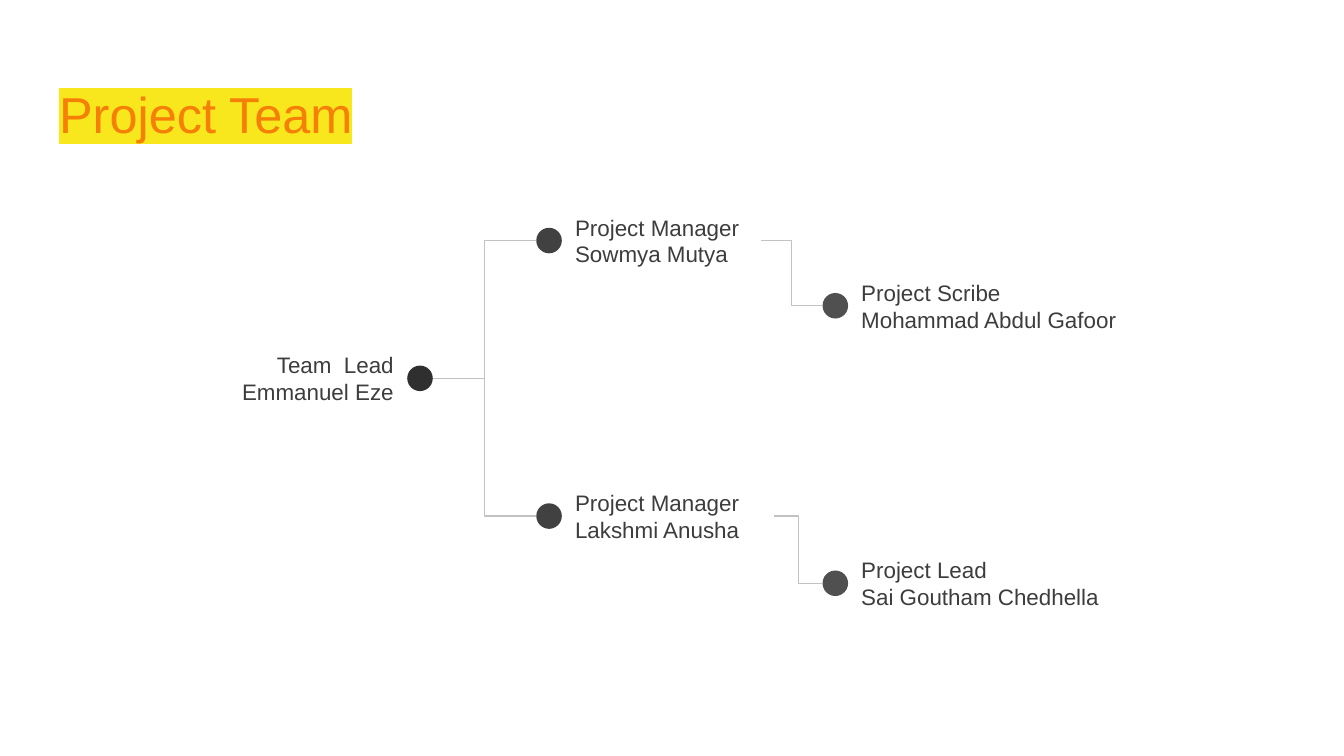
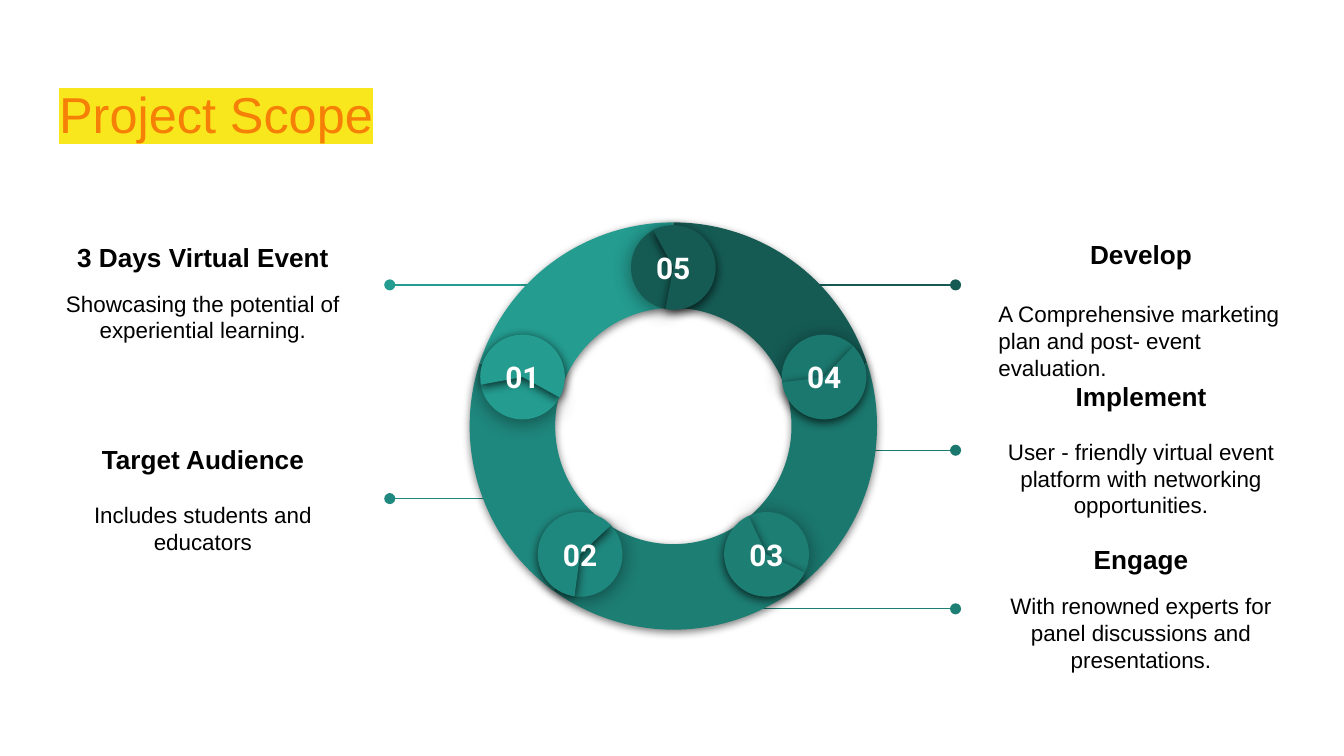
import math
from lxml import etree
from pptx import Presentation, util as u
from pptx.dml.color import RGBColor
from pptx.enum import shapes, text
from pptx.oxml import ns

# Grid: one cell is a tenth of an inch
CELL = u.Inches(0.1)
COLUMNS, ROWS = 100, 56.25

ORANGE = RGBColor(0xF6, 0x7F, 0x07)
YELLOW = RGBColor(0xF8, 0xE7, 0x1C)
BLACK = RGBColor(0x00, 0x00, 0x00)
WHITE = RGBColor(0xFF, 0xFF, 0xFF)
INK = RGBColor(0x3D, 0x3D, 0x3D)
RULE = RGBColor(0xC2, 0xC2, 0xC2)
LEVEL_1 = RGBColor(0x2F, 0x2F, 0x2F)
LEVEL_2 = RGBColor(0x41, 0x41, 0x41)
LEVEL_3 = RGBColor(0x50, 0x50, 0x50)
TEAL_1 = RGBColor(0x24, 0x9C, 0x90)
TEAL_2 = RGBColor(0x1F, 0x88, 0x7E)
TEAL_3 = RGBColor(0x1D, 0x7E, 0x74)
TEAL_4 = RGBColor(0x1B, 0x78, 0x6E)
TEAL_5 = RGBColor(0x15, 0x5B, 0x54)

LEFT, CENTER, RIGHT = text.PP_ALIGN.LEFT, text.PP_ALIGN.CENTER, text.PP_ALIGN.RIGHT
TOP, MIDDLE = text.MSO_ANCHOR.TOP, text.MSO_ANCHOR.MIDDLE


def grid(*cells):
    return [round(cell * CELL) for cell in cells]


def add_xml(parent, tag, **attributes):
    return etree.SubElement(parent, ns.qn(tag), {k: str(v) for k, v in attributes.items()})


class Deck:
    """Shared style, and the slide being filled."""

    def __init__(self):
        self.show = Presentation()
        self.show.slide_width, self.show.slide_height = grid(COLUMNS, ROWS)
        self.slide = None

    def add_slide(self, heading):
        self.slide = self.show.slides.add_slide(self.show.slide_layouts[5])
        title = self.slide.shapes.title
        title.left, title.top, title.width, title.height = grid(3.4, 4.9, 93.2, 6.3)
        self.fill_text(title.text_frame, [(heading, 27, False, ORANGE, LEFT, 0)], TOP)
        title.text_frame.margin_top = u.Inches(0.13)
        # Highlight sits on the run, behind the letters
        run = title.text_frame.paragraphs[0].runs[0]
        run.font.color.rgb = ORANGE
        highlight = add_xml(run.font._element, "a:highlight")
        add_xml(highlight, "a:srgbClr", val=YELLOW)

    def fill_text(self, frame, lines, anchor, font="Arial"):
        """Each line is (words, size, bold, colour, alignment, space before)."""
        frame.word_wrap = True
        frame.auto_size = text.MSO_AUTO_SIZE.NONE
        frame.vertical_anchor = anchor
        frame.margin_left = frame.margin_right = CELL
        frame.margin_top = frame.margin_bottom = CELL
        for i, (words, size, bold, color, align, before) in enumerate(lines):
            paragraph = frame.add_paragraph() if i else frame.paragraphs[0]
            paragraph.text = words
            paragraph.alignment = align
            paragraph.space_before = u.Pt(before)
            paragraph.font.name, paragraph.font.size = font, u.Pt(size)
            paragraph.font.bold = bold
            paragraph.font.color.rgb = color

    def text_box(self, box, lines, anchor=MIDDLE, font="Arial"):
        label = self.slide.shapes.add_textbox(*grid(*box))
        self.fill_text(label.text_frame, lines, anchor, font)

    def shape(self, kind, center, size, color, turn=0, adjust=(), shadow=None):
        """A filled square-bounded shape; shadow is (opacity %, blur pt)."""
        x, y = center
        shape = self.slide.shapes.add_shape(
            kind, *grid(x - size / 2, y - size / 2, size, size))
        shape.fill.solid()
        shape.fill.fore_color.rgb = color
        shape.line.fill.background()
        shape.rotation = turn % 360
        for i, value in enumerate(adjust):
            shape.adjustments[i] = value
        shape.shadow.inherit = False
        if shadow:
            opacity, blur = shadow
            effects = shape._element.spPr.find(ns.qn("a:effectLst"))
            outer = add_xml(effects, "a:outerShdw", blurRad=u.Pt(blur), dist=u.Pt(1.5),
                            dir=90 * 60000, algn="bl", rotWithShape=0)
            tint = add_xml(outer, "a:srgbClr", val=BLACK)
            add_xml(tint, "a:alpha", val=opacity * 1000)

    def connector(self, kind, start, end, color, dot=False):
        line = self.slide.shapes.add_connector(kind, *grid(*start, *end))
        line.line.color.rgb = color
        line.line.width = u.Pt(0.75)
        properties = line._element.spPr
        if dot:
            add_xml(properties.find(ns.qn("a:ln")), "a:tailEnd", type="oval")
        add_xml(properties, "a:effectLst")


def build_team(deck):
    deck.add_slide("Project Team")
    dot, label_height = 1.9, 3.5
    # Per level: left edge of the dot, and its colour
    levels = [(30.3, LEVEL_1), (39.9, LEVEL_2), (61.2, LEVEL_3)]
    # Level, row, label width, role, name, index of the superior
    members = [
        (0, 28.15, 16.7, "Team  Lead", "Emmanuel Eze", None),
        (1, 17.9, 14.8, "Project Manager", "Sowmya Mutya", 0),
        (1, 38.4, 15.8, "Project Manager", "Lakshmi Anusha", 0),
        (2, 22.75, 23.3, "Project Scribe", "Mohammad Abdul Gafoor", 1),
        (2, 43.4, 21.7, "Project Lead", "Sai Goutham Chedhella", 2),
    ]

    # Branches, behind the dots
    for level, row, _, _, _, superior in members:
        if superior is None:
            continue
        up_level, up_row, up_width = members[superior][:3]
        start = levels[up_level][0] + dot + (up_width if up_level else 0)
        deck.connector(shapes.MSO_CONNECTOR.ELBOW, (start, up_row),
                       (levels[level][0], row), RULE)

    # Members: the lead's label stands left of the dot, the others' right
    for level, row, width, role, name, _ in members:
        x, color = levels[level]
        left, align = (x + dot, LEFT) if level else (x - width, RIGHT)
        deck.text_box((left, row - label_height / 2, width, label_height),
                      [(words, 12, False, INK, align, 0) for words in (role, name)])
        deck.shape(shapes.MSO_SHAPE.OVAL, (x + dot / 2, row), dot, color)


def build_scope(deck):
    deck.add_slide("Project Scope")
    # Heading, body, body alignment, gap, text middle, text height, line start, line row, colour
    left_side = [
        ("3 Days Virtual Event", "Showcasing the potential of experiential learning.",
         CENTER, 9.2, 21.75, 10.1, 42.4, 21.2, TEAL_1),
        ("Target Audience", "Includes students and educators",
         CENTER, 13.8, 37.15, 10.1, 39.1, 37.1, TEAL_2),
    ]
    right_side = [
        ("Engage", "With renowned experts for panel discussions and presentations.",
         CENTER, 9.2, 45.25, 10.1, 51, 45.3, TEAL_3),
        ("Develop", "A Comprehensive marketing plan and post- event evaluation.",
         LEFT, 16.1, 23.05, 7.5, 57.1, 21.2, TEAL_5),
        ("Implement", "User - friendly virtual event platform with networking opportunities.",
         CENTER, 13.8, 33.45, 10.1, 61.4, 33.5, TEAL_4),
    ]

    # Callouts, each side with its text column and line end
    for callouts, column, line_end in ((left_side, 3.5, 29), (right_side, 73.3, 71.1)):
        for heading, body, align, gap, middle, height, start, row, color in callouts:
            deck.connector(shapes.MSO_CONNECTOR.STRAIGHT, (start, row),
                           (line_end, row), color, dot=True)
            deck.text_box((column, middle - height / 2, 23.2, height),
                          [(heading, 14, True, BLACK, CENTER, 0),
                           (body, 12, False, BLACK, align, gap)])

    # Ring, clockwise from the top
    steps = [("05", TEAL_5), ("04", TEAL_4), ("03", TEAL_3), ("02", TEAL_2), ("01", TEAL_1)]
    turn = 360 / len(steps)
    center_x, center_y = 50.1, 31.7
    for i, (_, color) in enumerate(steps):
        deck.shape(shapes.MSO_SHAPE.BLOCK_ARC, (center_x, center_y), 30.3, color,
                   60 + turn * i, (126, 169.2, 0.21), (50, 4.5))

    # Numbered badges of two overlapping wedges on the joints
    radius = 11.8
    for i, (number, color) in enumerate(steps):
        angle = math.radians(turn * i)
        x = center_x + radius * math.sin(angle)
        y = center_y - radius * math.cos(angle)
        for tilt, wedge, shadow in ((-4.9, (61.9, 149.96), (43, 11.2)),
                                    (174.4, (40.28, 171.84), (75, 5.6))):
            deck.shape(shapes.MSO_SHAPE.PIE, (x, y), 6.3, color,
                       tilt + turn * i, wedge, shadow)
        deck.text_box((x - 2.8, y - 2.35, 5.6, 2.9),
                      [(number, 16, True, WHITE, CENTER, 0)], TOP, "Roboto")


def main():
    deck = Deck()
    build_team(deck)
    build_scope(deck)
    deck.show.save("out.pptx")


if __name__ == "__main__":
    main()
